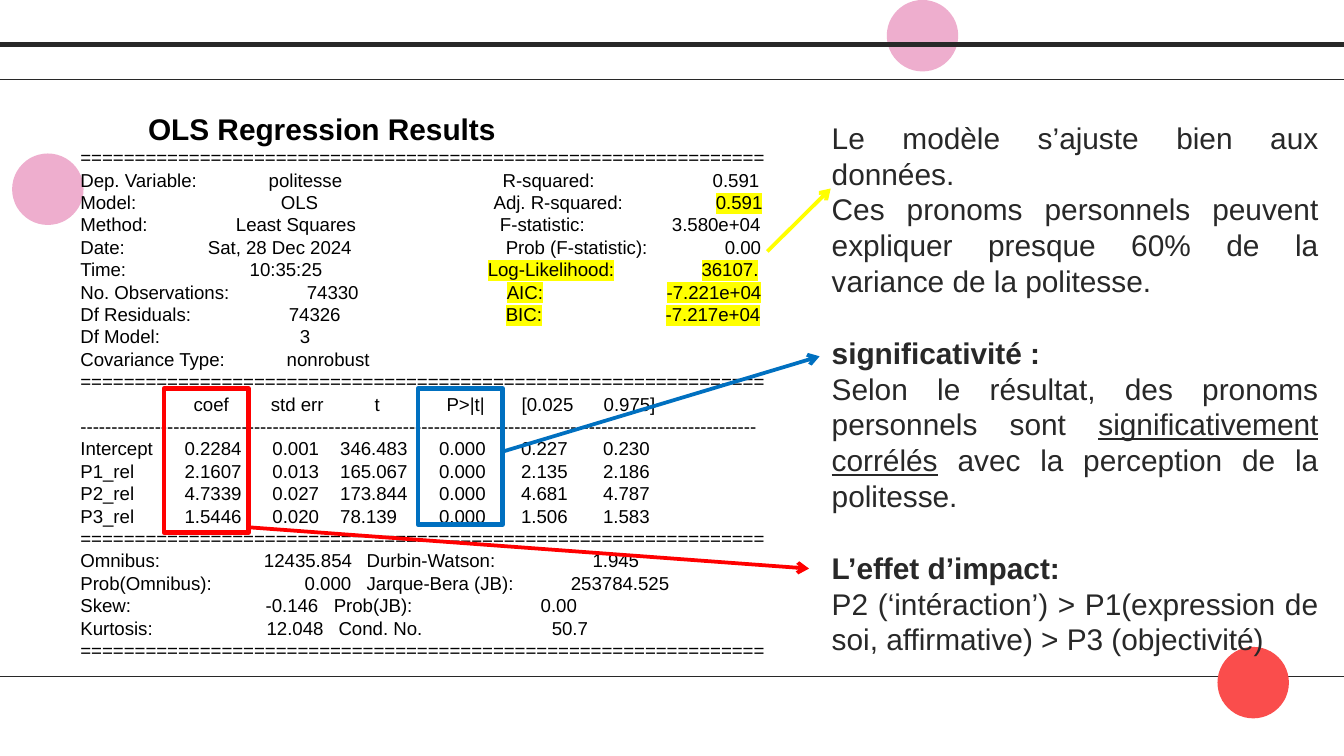
from lxml.etree import SubElement
from pptx import Presentation
from pptx.dml.color import RGBColor
from pptx.enum.shapes import MSO_CONNECTOR, MSO_SHAPE
from pptx.enum.text import MSO_ANCHOR, PP_ALIGN
from pptx.oxml.ns import qn
from pptx.util import Cm, Pt

COLORS = {"pink": "EEAECE", "coral": "FA4D4C", "ink": "282828", "black": "000000",
          "blue": "0070C0", "red": "FF0000", "yellow": "FFFF00"}
FONT = "Arial"
WIDTH, HEIGHT = 25.4, 14.28
LEADING = 1.2
DOT = 1.35

PINK_DOTS = [(0.23, 2.9), (16.76, 0)]
CORAL_DOT = (23.01, 12.22)
RULES = [(0.84, 3), (1.5, 0.75), (12.78, 0.75)]  # y, weight
FRAMES = [("blue", 7.9, 7.34, 1.6, 2.57), ("red", 3.1, 7.34, 1.6, 2.72)]
ARROWS = [("blue", 9.5, 8.53, 15.49, 6.73), ("red", 4.7, 9.96, 15.29, 10.74),
          ("yellow", 14.5, 4.75, 15.7, 3.56)]

RESULTS_BOX = (1.27, 1.96, 14.02, 10.9)
TITLE, TITLE_INDENT = "OLS Regression Results", 1.28
DOUBLE_RULE = ([], ["=" * 63])
SINGLE_RULE = ([], ["-" * 109])
COEF_STOPS = [1.97, 3.63, 4.91, 6.78, 8.33, 9.88]
# Tab stops, cells, and the first highlighted cell if any
RESULTS = [
    DOUBLE_RULE,
    ([3.56, 7.98, 11.95], ["Dep. Variable:", "politesse", "R-squared:", "0.591"]),
    ([3.79, 7.81, 12.01], ["Model:", "OLS", "Adj. R-squared:", "0.591"], 3),
    ([2.94, 7.93, 11.18], ["Method:", "Least Squares", "F-statistic:", "3.580e+04"]),
    ([2.41, 8.04, 12.18], ["Date:", "Sat, 28 Dec 2024", "Prob (F-statistic):", "0.00"]),
    ([3.2, 7.7, 11.74], ["Time:", "10:35:25", "Log-Likelihood:", "36107."], 2),
    ([4.28, 8.06, 11.08], ["No. Observations:", "74330", "AIC:", "-7.221e+04"], 2),
    ([3.94, 8.04, 11.06], ["Df Residuals:", "74326", "BIC:", "-7.217e+04"], 2),
    ([4.15], ["Df Model:", "3"]),
    ([3.9], ["Covariance Type:", "nonrobust"]),
    DOUBLE_RULE,
    ([2.14, 3.6, 5.56, 6.92, 8.34, 9.89],
     ["", "coef", "std err", "t", "P>|t|", "[0.025", "0.975]"]),
    SINGLE_RULE,
    (COEF_STOPS, ["Intercept", "0.2284", "0.001", "346.483", "0.000", "0.227", "0.230"]),
    (COEF_STOPS, ["P1_rel", "2.1607", "0.013", "165.067", "0.000", "2.135", "2.186"]),
    (COEF_STOPS, ["P2_rel", "4.7339", "0.027", "173.844", "0.000", "4.681", "4.787"]),
    (COEF_STOPS, ["P3_rel", "1.5446", "0.020", "78.139", "0.000", "1.506", "1.583"]),
    DOUBLE_RULE,
    ([3.47, 5.41, 9.68], ["Omnibus:", "12435.854", "Durbin-Watson:", "1.945"]),
    ([4.24, 5.41, 9.27], ["Prob(Omnibus):", "0.000", "Jarque-Bera (JB):", "253784.525"]),
    ([3.5, 4.79, 8.7], ["Skew:", "-0.146", "Prob(JB):", "0.00"]),
    ([3.52, 4.88, 8.91], ["Kurtosis:", "12.048", "Cond. No.", "50.7"]),
    DOUBLE_RULE,
]

COMMENTS_BOX = (15.47, 2.13, 9.7, 10.13)
BOLD, UNDERLINE = {"bold": True}, {"underline": True}
# Sections of paragraphs, each a list of (text, format) runs
COMMENTS = [
    [[("Le modèle s’ajuste bien aux données.", {})],
     [("Ces pronoms personnels peuvent expliquer presque 60% de la variance "
       "de la politesse.", {})]],
    [[("significativité :", BOLD)],
     [("Selon le résultat, des pronoms personnels sont ", {}),
      ("significativement corrélés", UNDERLINE),
      (" avec la perception de la politesse.", {})]],
    [[("L’effet d’impact:", BOLD)],
     [("P2 (‘intéraction’) > P1(expression de soi, affirmative) > "
       "P3 (objectivité)", {})]],
]


def rgb(name):
    return RGBColor.from_string(COLORS[name])


def add_dot(s, x, y, color):
    sp = s.shapes.add_shape(MSO_SHAPE.OVAL, Cm(x), Cm(y), Cm(DOT), Cm(DOT))
    sp.shadow.inherit = False
    sp.fill.solid()
    sp.fill.fore_color.rgb = rgb(color)
    sp.line.fill.background()


def add_frame(s, color, *box):
    sp = s.shapes.add_shape(MSO_SHAPE.RECTANGLE, *map(Cm, box))
    sp.shadow.inherit = False
    sp.fill.background()
    sp.line.color.rgb = rgb(color)
    sp.line.width = Pt(2.5)


def add_line(s, color, weight, *ends, arrow=False):
    ln = s.shapes.add_connector(MSO_CONNECTOR.STRAIGHT, *map(Cm, ends))
    ln.line.color.rgb = rgb(color)
    ln.line.width = Pt(weight)
    if arrow:
        SubElement(ln.line._get_or_add_ln(), qn("a:tailEnd"), type="arrow")
    SubElement(ln._element.spPr, qn("a:effectLst"))


def add_text_frame(s, box):
    tf = s.shapes.add_textbox(*map(Cm, box)).text_frame
    tf.word_wrap = True
    tf.vertical_anchor = MSO_ANCHOR.TOP
    return tf


def next_paragraph(tf):
    first = tf.paragraphs[0]
    return tf.add_paragraph() if first.runs else first


def add_run(p, text, size, color, highlight=None, **formats):
    r = p.add_run()
    r.text = text
    for name, value in {"name": FONT, "size": Pt(size), **formats}.items():
        setattr(r.font, name, value)
    r.font.color.rgb = rgb(color)
    if highlight:
        rPr = r.font._element
        mark = SubElement(rPr, qn("a:highlight"))
        SubElement(mark, qn("a:srgbClr"), val=COLORS[highlight])
        rPr.find(qn("a:solidFill")).addnext(mark)


def set_tabs(p, stops):
    tabs = SubElement(p._p.get_or_add_pPr(), qn("a:tabLst"))
    for stop in stops:
        SubElement(tabs, qn("a:tab"), pos=str(Cm(stop)), algn="l")


def add_results(s, size=10):
    tf = add_text_frame(s, RESULTS_BOX)
    p = next_paragraph(tf)
    p._p.get_or_add_pPr().set("marL", str(Cm(TITLE_INDENT)))
    add_run(p, TITLE, 16, "black", bold=True)
    for stops, cells, *marked in RESULTS:
        p = next_paragraph(tf)
        p.line_spacing = Pt(size * LEADING)
        if stops:
            set_tabs(p, stops)
        split = marked[0] if marked else len(cells)
        plain = "\t".join(cells[:split]) + ("\t" if marked else "")
        add_run(p, plain, size, "black")
        if marked:
            add_run(p, "\t".join(cells[split:]), size, "black", "yellow")


def add_comments(s, size=16):
    tf = add_text_frame(s, COMMENTS_BOX)
    for i, section in enumerate(COMMENTS):
        for j, runs in enumerate(section):
            p = next_paragraph(tf)
            p.alignment = PP_ALIGN.JUSTIFY
            p.line_spacing = Pt(size * LEADING)
            if i and not j:
                p.space_before = Pt(size * LEADING)
            for text, formats in runs:
                add_run(p, text, size, "ink", **formats)


def main():
    prs = Presentation()
    prs.slide_width, prs.slide_height = Cm(WIDTH), Cm(HEIGHT)
    s = prs.slides.add_slide(prs.slide_layouts[6])
    for x, y in PINK_DOTS:
        add_dot(s, x, y, "pink")
    for y, weight in RULES:
        add_line(s, "ink", weight, 0, y, WIDTH, y)
    add_dot(s, *CORAL_DOT, "coral")
    add_results(s)
    for frame in FRAMES:
        add_frame(s, *frame)
    add_comments(s)
    for color, *ends in ARROWS:
        add_line(s, color, 2, *ends, arrow=True)
    prs.save("out.pptx")


if __name__ == "__main__":
    main()
